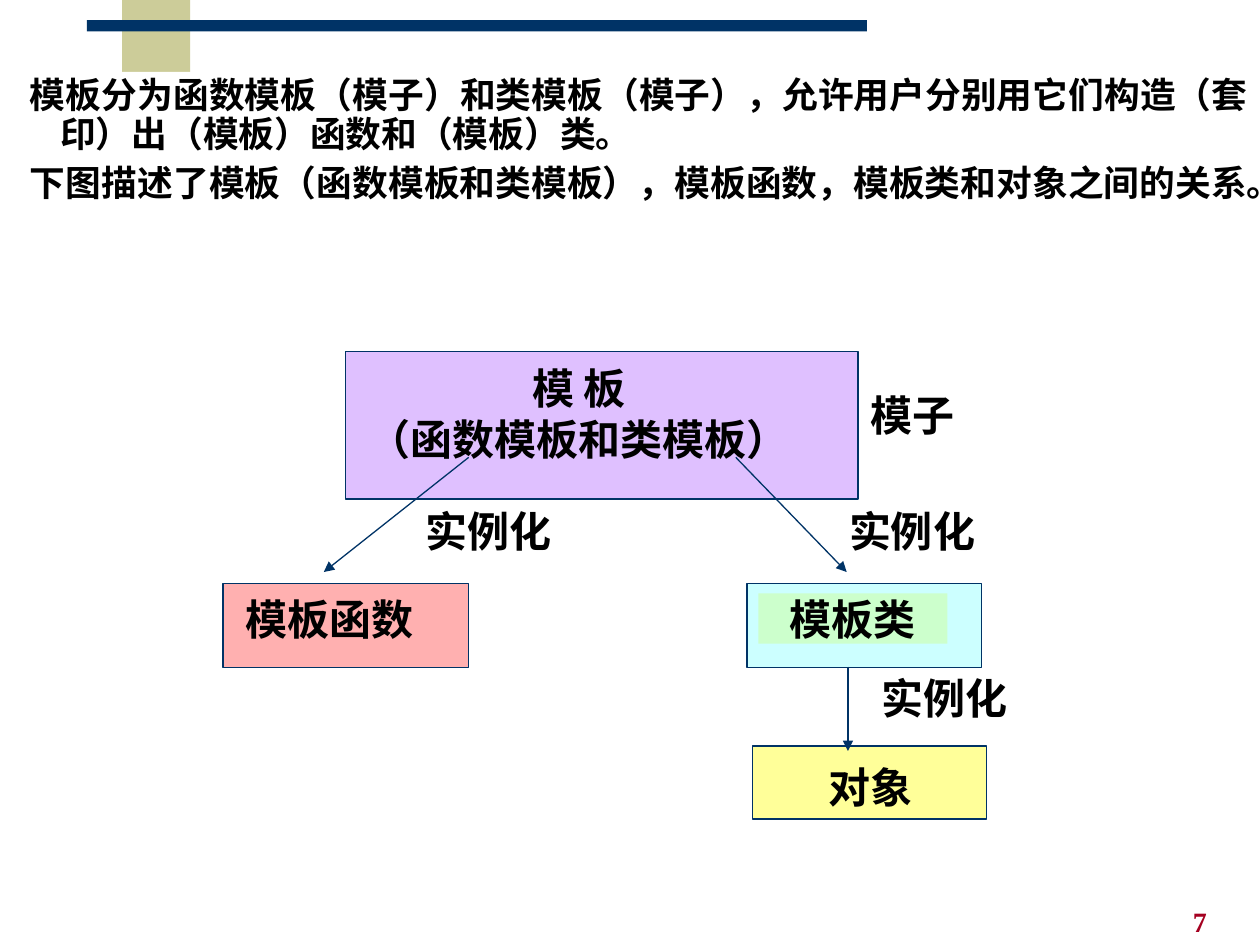
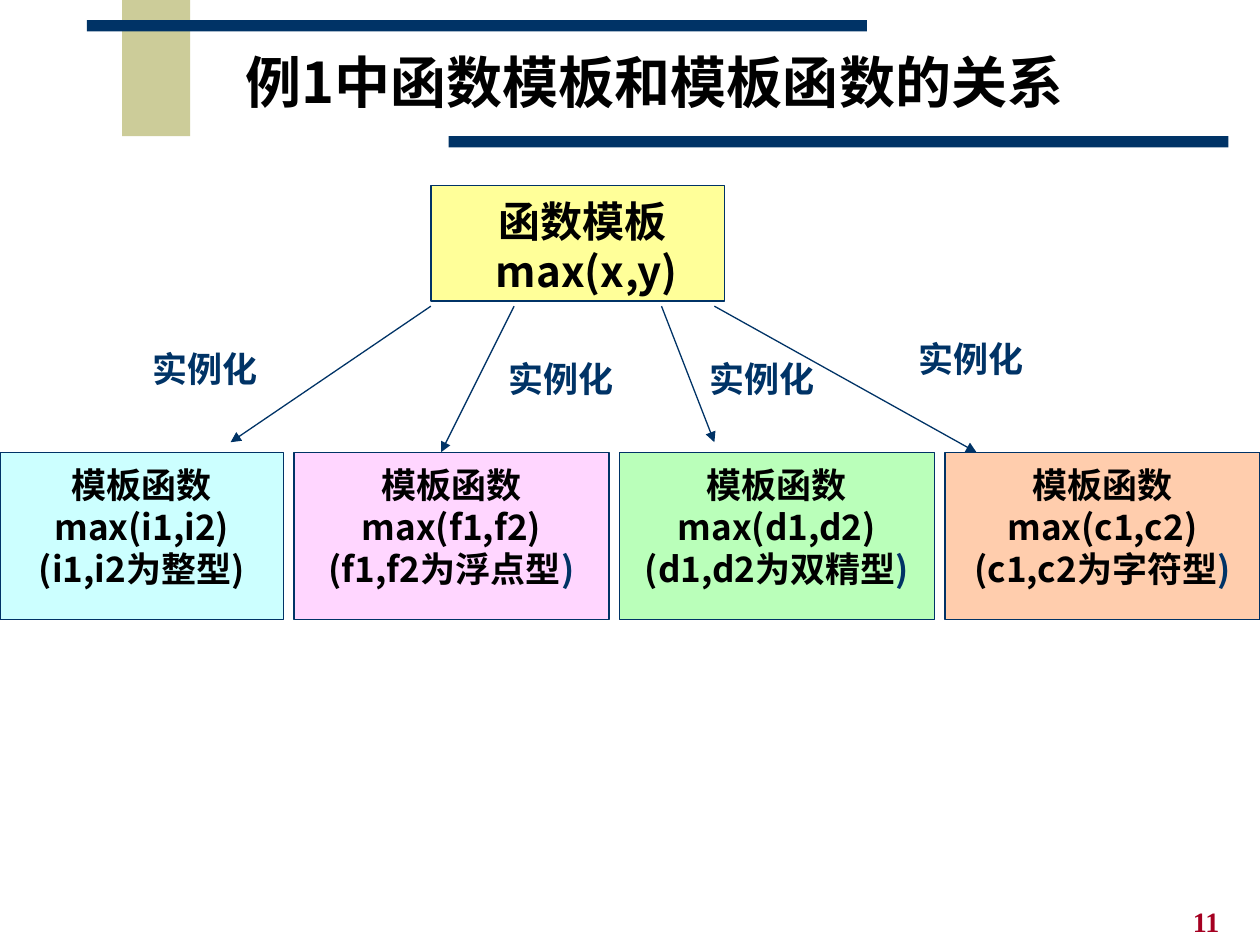
from dataclasses import dataclass

from lxml import etree
from pptx import Presentation
from pptx import util as u
from pptx.dml import color
from pptx.enum import shapes, text
from pptx.oxml import ns

LEFT, CENTER, JUSTIFY = text.PP_ALIGN.LEFT, text.PP_ALIGN.CENTER, text.PP_ALIGN.JUSTIFY
PADDING = (0.1, 0.05, 0.1, 0.05)


@dataclass(frozen=True)
class Theme:
    font: str = "Noto Sans CJK SC"
    latin: str = "Arial"
    number_font: str = "Times New Roman"
    navy: str = "003366"
    khaki: str = "CCCC99"
    red: str = "A50021"
    black: str = "000000"
    white: str = "FFFFFF"
    yellow: str = "FFFF99"
    cyan: str = "CCFFFF"
    mint: str = "CCFFCC"
    violet: str = "CC99FF"
    coral: str = "FF5050"
    pink: str = "FF99FF"
    green: str = "00FF00"
    orange: str = "FF6600"
    title: float = 32
    large: float = 24
    body: float = 20.4
    small: float = 20
    number: float = 16
    line: float = 0.75


def rgb(value):
    return color.RGBColor.from_string(value)


def add_xml(parent, tag, **attrs):
    return etree.SubElement(parent, ns.qn(tag), **attrs)


class Deck:
    def __init__(self, theme):
        self.t = theme
        self.prs = Presentation()
        self.prs.slide_width, self.prs.slide_height = u.Inches(10), u.Inches(7.5)
        self.s = None

    def slide(self, number, title=None):
        t = self.t
        self.s = self.prs.slides.add_slide(self.prs.slide_layouts[5 if title else 6])
        self.box((0.97, 0, 0.54, 1.08), t.khaki, outlined=False)
        self.box((0.69, 0.16, 6.19, 0.09), t.navy, outlined=False)
        if title:
            self.box((3.56, 1.08, 6.19, 0.09), t.navy, outlined=False)
            self.title(title)
        self.label((9.37, 7.13, 0.63, 0.37), number, t.number, t.red, align=LEFT,
                   inset=PADDING, font=t.number_font)

    def title(self, words):
        sp = self.s.shapes.title
        sp.left, sp.top, sp.width, sp.height = map(u.Inches, (1.85, 0.52, 6.77, 0.33))
        self.put_text(sp.text_frame, [words], self.t.title, align=LEFT,
                      inset=PADDING, spacing=0.85)
        sp.text_frame.vertical_anchor = text.MSO_ANCHOR.MIDDLE
        self.s.shapes._spTree.append(sp._element)

    def set_face(self, font, name):
        font.name = name
        add_xml(font._element, "a:ea", typeface=name)

    def put_text(self, tf, paragraphs, size, ink=None, align=CENTER,
                 inset=(0, 0, 0, 0), font=None, spacing=1.0):
        tf.word_wrap = True
        tf.auto_size = text.MSO_AUTO_SIZE.NONE
        tf.vertical_anchor = text.MSO_ANCHOR.TOP
        tf.margin_left, tf.margin_top, tf.margin_right, tf.margin_bottom = map(u.Inches, inset)
        for i, runs in enumerate(paragraphs):
            p = tf.add_paragraph() if i else tf.paragraphs[0]
            p.alignment, p.line_spacing, p.space_before = align, spacing, u.Pt(0)
            self.set_face(p.font, font or self.t.font)
            p.font.size, p.font.bold = u.Pt(size), True
            p.font.color.rgb = rgb(ink or self.t.black)
            for part in [runs] if isinstance(runs, str) else runs:
                words, special = (part, {}) if isinstance(part, str) else part
                r = p.add_run()
                r.text = words
                if "font" in special:
                    self.set_face(r.font, special["font"])
                if "ink" in special:
                    r.font.color.rgb = rgb(special["ink"])

    def box(self, at, fill, alpha=100, outlined=True):
        sp = self.s.shapes.add_shape(shapes.MSO_SHAPE.RECTANGLE, *map(u.Inches, at))
        sp.shadow.inherit = False
        sp.fill.solid()
        sp.fill.fore_color.rgb = rgb(fill)
        if alpha < 100:
            shade = sp._element.spPr.find(".//" + ns.qn("a:srgbClr"))
            add_xml(shade, "a:alpha", val=str(alpha * 1000))
        if outlined:
            sp.line.color.rgb = rgb(self.t.navy)
            sp.line.width = u.Pt(self.t.line)
        else:
            sp.line.fill.background()
        return sp.text_frame

    def label(self, at, words, size, ink=None, **options):
        tf = self.s.shapes.add_textbox(*map(u.Inches, at)).text_frame
        self.put_text(tf, [words], size, ink, **options)

    def body(self, at, paragraphs):
        tf = self.box(at, self.t.white, outlined=False)
        self.put_text(tf, paragraphs, self.t.body, align=JUSTIFY, inset=PADDING, spacing=0.9)
        for i, p in enumerate(tf.paragraphs):
            p.space_before = u.Pt(6 if i else 0)
            pPr = p._p.get_or_add_pPr()
            pPr.set("marL", str(u.Inches(0.38)))
            pPr.set("indent", str(u.Inches(-0.24)))

    def arrow(self, start, end):
        c = self.s.shapes.add_connector(shapes.MSO_CONNECTOR.STRAIGHT, *map(u.Inches, start + end))
        c.line.color.rgb = rgb(self.t.navy)
        c.line.width = u.Pt(self.t.line)
        spPr = c._element.spPr
        add_xml(spPr.find(ns.qn("a:ln")), "a:tailEnd", type="triangle")
        add_xml(spPr, "a:effectLst")


def template_relations(d):
    t = d.t
    mould = ("模子", {"font": t.latin})
    d.slide("7")
    d.body((0, 0.57, 10, 6.56), [
        ["模板分为函数模板（", mould, "）和类模板（", mould, "），允许用户分别用它们构造（",
         ("套印）出", {"font": t.latin}), "（模板）函数和（模板）类。"],
        "下图描述了模板（函数模板和类模板），模板函数，模板类和对象之间的关系。",
    ])
    tf = d.box((2.74, 2.79, 4.07, 1.17), t.violet, 61)
    d.put_text(tf, ["模 板", "（函数模板和类模板）"], t.large, inset=(0, 0.09, 0.36, 0))
    tf = d.box((1.77, 4.63, 1.95, 0.67), t.coral, 45)
    d.put_text(tf, ["模板函数"], t.large, align=LEFT, inset=(0.18, 0.08, 0, 0))
    d.box((5.93, 4.63, 1.86, 0.67), t.cyan)
    tf = d.box((6.02, 4.71, 1.5, 0.4), t.mint, outlined=False)
    d.put_text(tf, ["模板类"], t.large)
    tf = d.box((5.97, 5.92, 1.86, 0.58), t.yellow)
    d.put_text(tf, ["对象"], t.large, inset=(0.02, 0.12, 0, 0))

    for start, end in [((3.72, 3.63), (2.57, 4.54)), ((5.84, 3.63), (6.72, 4.54)),
                       ((6.73, 5.29), (6.73, 5.96))]:
        d.arrow(start, end)
    for x, y, words, font in [(3.28, 3.96, "实例化", t.font), (6.64, 3.96, "实例化", t.font),
                              (6.9, 5.29, "实例化", t.font), (6.81, 3.04, "模子", t.latin)]:
        d.label((x, y, 1.33, 0.5), words, t.large, align=LEFT, inset=PADDING, font=font)


def function_instances(d):
    t = d.t
    d.slide("11", "例1中函数模板和模板函数的关系")
    tf = d.box((3.42, 1.47, 2.33, 0.92), t.yellow)
    d.put_text(tf, ["函数模板", " max(x,y)"], t.large, inset=(0.07, 0.08, 0, 0))

    left, gap = 0, 1 / 12
    for width, letter, kind, fill, alpha, ink in [
        (2.25, "i", "整型", t.cyan, 100, t.black),
        (2.5, "f", "浮点型", t.pink, 40, t.navy),
        (2.5, "d", "双精型", t.green, 27, t.navy),
        (2.5, "c", "字符型", t.orange, 32, t.navy),
    ]:
        args = f"{letter}1,{letter}2"
        tf = d.box((left, 3.59, width, 1.33), fill, alpha)
        d.put_text(tf, ["模板函数", f"max({args})", [f"({args}为{kind}", (")", {"ink": ink})]],
                   t.small, inset=(0, 0.09, 0, 0))
        left += width + gap

    for x, end in [(3.42, (1.83, 3.51)), (4.08, (3.5, 3.59)),
                   (5.25, (5.67, 3.51)), (5.67, (7.75, 3.59))]:
        d.arrow((x, 2.43), end)
    for x, y in [(1, 2.76), (3.83, 2.84), (5.42, 2.84), (7.08, 2.68)]:
        d.label((x, y, 1.25, 0.33), "实例化", t.small, t.navy)


def main():
    d = Deck(Theme())
    template_relations(d)
    function_instances(d)
    d.prs.save("out.pptx")


if __name__ == "__main__":
    main()
